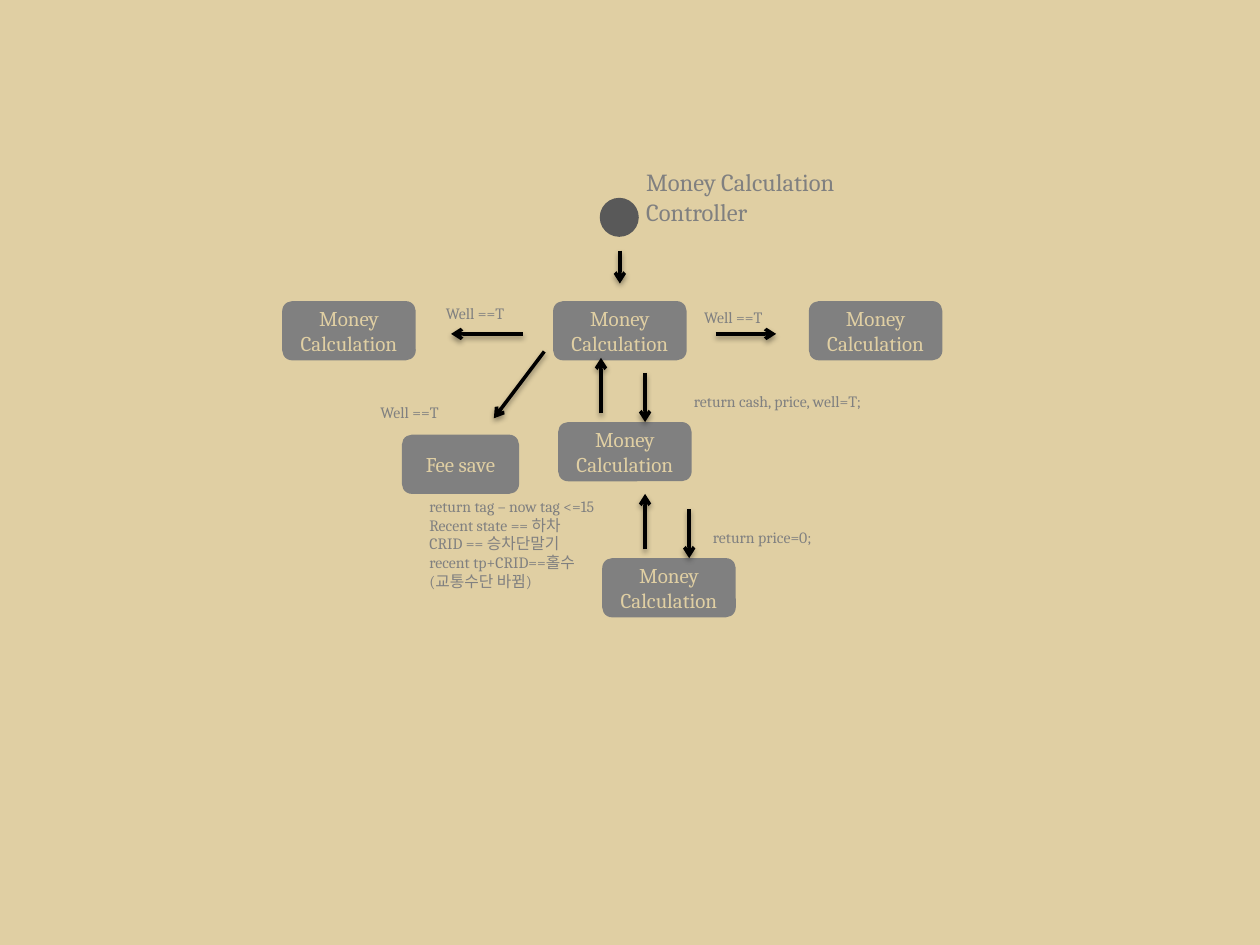
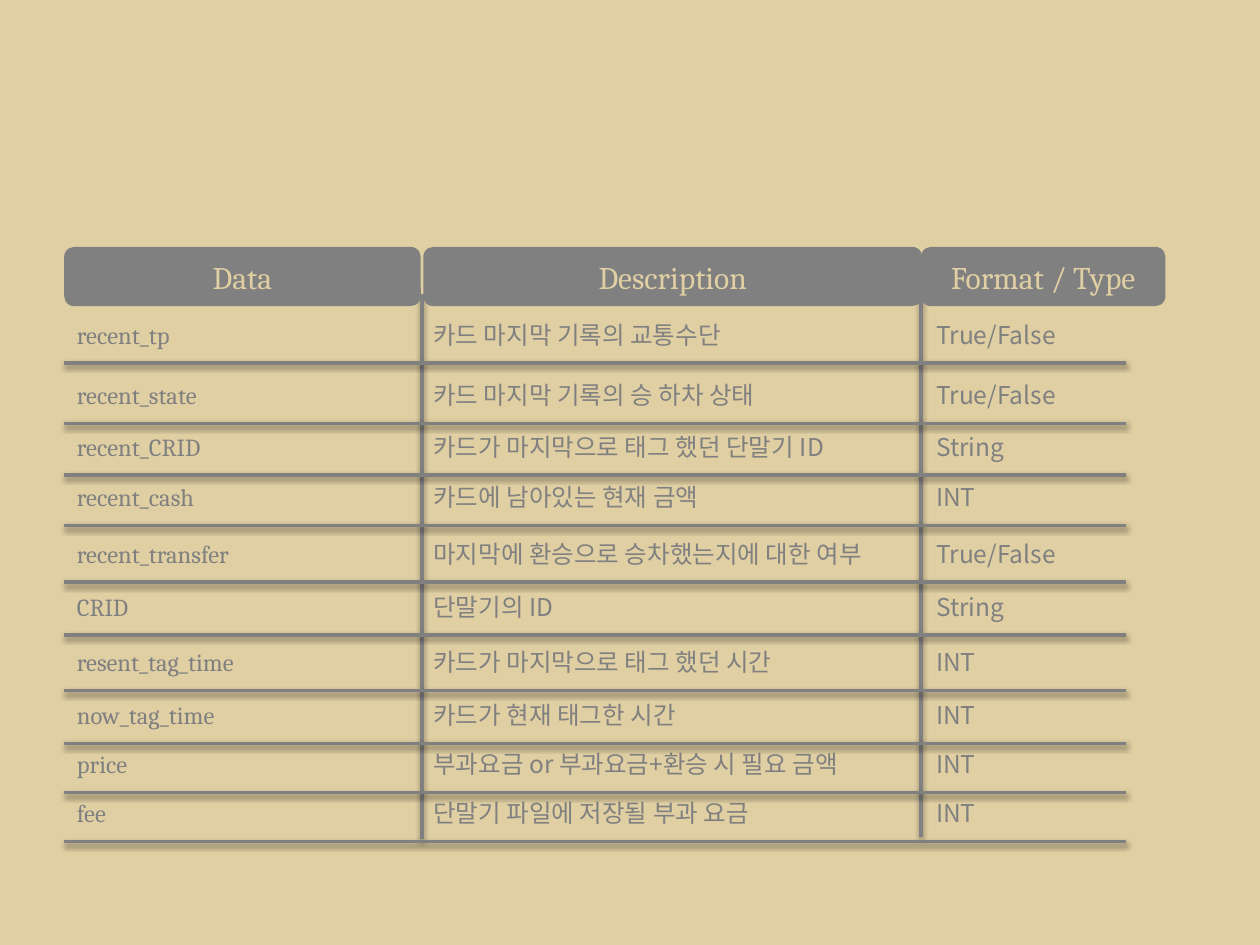
from dataclasses import dataclass
from itertools import pairwise

from lxml.etree import SubElement
from pptx import Presentation
from pptx.dml.color import RGBColor
from pptx.enum.shapes import MSO_CONNECTOR as Connector, MSO_SHAPE as Shape
from pptx.enum.text import MSO_ANCHOR as Anchor, MSO_AUTO_SIZE as AutoSize, PP_ALIGN as Align
from pptx.oxml.ns import qn
from pptx.util import Inches, Pt


@dataclass(frozen=True)
class Theme:
    sand: str = "E0CFA3"
    gray: str = "808080"
    dark: str = "595959"
    black: str = "000000"
    serif: str = "Cambria"
    korean: str = "Noto Sans CJK KR"
    note_size: int = 9
    box_size: int = 12
    text_size: int = 14
    header_size: int = 18
    line_width: int = 2


THEME = Theme()

# Controller diagram
START = (4.76, 1.57, 0.31)
TITLE = ("Money Calculation Controller", 5.03, 1.28, 2.02, 0.57)
STEP = "Money Calculation"
STEP_WIDTH, BOX_HEIGHT = 1.06, 0.47
STEP_PLACES = [(2.24, 2.39), (4.39, 2.39), (6.42, 2.39), (4.43, 3.35), (4.78, 4.43)]
FEE_BOX = ("Fee save", 3.19, 3.45, 0.93, BOX_HEIGHT)
ARROWS = [
    (4.92, 1.99, 4.92, 2.25),
    (5.68, 2.65, 6.16, 2.65),
    (4.15, 2.65, 3.58, 2.65),
    (4.32, 2.79, 3.92, 3.32),
    (5.12, 2.96, 5.12, 3.35),
    (4.77, 3.28, 4.77, 2.84),
    (5.47, 4.04, 5.47, 4.43),
    (5.12, 4.36, 5.12, 3.92),
]
CONDITION = "Well ==T"
NOTES = [
    (CONDITION, 3.44, 2.36, 0.95, 0.25),
    (CONDITION, 5.49, 2.39, 0.95, 0.25),
    (CONDITION, 2.92, 3.15, 0.95, 0.25),
    ("return cash, price, well=T;", 5.41, 3.06, 2.07, 0.25),
    ("return price=0;", 5.56, 4.14, 1.25, 0.25),
    ("return tag – now tag <=15\nRecent state == 하차\nCRID == 승차단말기\n"
     "recent tp+CRID==홀수\n(교통수단 바뀜)", 3.31, 3.89, 1.66, 0.86),
]

# Data dictionary
HEADER_TOP = 1.96
HEADERS = [("Data", 0.51, 2.83), ("Description", 3.36, 3.96), ("Format / Type", 7.31, 1.94)]
COLUMN_EDGES = [0.51, 3.35, 7.31, 8.94]
ROW_EDGES = [2.43, 2.88, 3.36, 3.77, 4.17, 4.62, 5.04, 5.48, 5.9, 6.29, 6.68]
COLUMN_RULES = [(3.35, 2.33, 3.35, 6.66), (7.31, 2.31, 7.31, 6.64)]
COLUMN_TEXT = [  # face, left margin, bottom margin
    (THEME.serif, 0.1, 0.1),
    (THEME.korean, 0.09, 0.09),
    (THEME.korean, 0.12, 0.09),
]
FIELDS = [
    ("recent_tp", "카드 마지막 기록의 교통수단", "True/False"),
    ("recent_state", "카드 마지막 기록의 승 하차 상태", "True/False"),
    ("recent_CRID", "카드가 마지막으로 태그 했던 단말기 ID", "String"),
    ("recent_cash", "카드에 남아있는 현재 금액", "INT"),
    ("recent_transfer", "마지막에 환승으로 승차했는지에 대한 여부", "True/False"),
    ("CRID", "단말기의 ID", "String"),
    ("resent_tag_time", "카드가 마지막으로 태그 했던 시간", "INT"),
    ("now_tag_time", "카드가 현재 태그한 시간", "INT"),
    ("price", "부과요금 or 부과요금+환승 시 필요 금액", "INT"),
    ("fee", "단말기 파일에 저장될 부과 요금", "INT"),
]
NO_STYLE = "{2D5ABB26-0587-4C30-8999-92F81FD0307C}"


def rgb(color):
    return RGBColor.from_string(color)


def inches(*lengths):
    return [Inches(length) for length in lengths]


def write(frame, text, size, color, face=THEME.serif, align=Align.LEFT):
    frame.text = text
    for paragraph in frame.paragraphs:
        paragraph.alignment = align
        for run in paragraph.runs:
            for name, value in {"size": Pt(size), "name": face}.items():
                setattr(run.font, name, value)
            run.font.color.rgb = rgb(color)
            east_asian = SubElement(run.font._element, qn("a:ea"), typeface=THEME.korean)
            run.font._element.find(qn("a:latin")).addnext(east_asian)


def add_slide(deck):
    slide = deck.slides.add_slide(deck.slide_layouts[6])
    slide.background.fill.solid()
    slide.background.fill.fore_color.rgb = rgb(THEME.sand)
    return slide


def add_filled(slide, kind, color, *place):
    shape = slide.shapes.add_shape(kind, *inches(*place))
    shape.shadow.inherit = False
    shape.fill.solid()
    shape.fill.fore_color.rgb = rgb(color)
    shape.line.fill.background()
    return shape


def add_box(slide, text, *place, size=THEME.box_size):
    box = add_filled(slide, Shape.ROUNDED_RECTANGLE, THEME.gray, *place)
    box.text_frame.vertical_anchor = Anchor.MIDDLE
    write(box.text_frame, text, size, THEME.sand, align=Align.CENTER)


def add_note(slide, text, *place, size=THEME.note_size):
    frame = slide.shapes.add_textbox(*inches(*place)).text_frame
    frame.word_wrap = True
    frame.auto_size = AutoSize.SHAPE_TO_FIT_TEXT
    write(frame, text, size, THEME.gray)


def add_line(slide, color, *ends, arrow=False):
    """Draw a straight line with a soft shadow below it."""
    line = slide.shapes.add_connector(Connector.STRAIGHT, *inches(*ends))
    line.line.color.rgb = rgb(color)
    line.line.width = Pt(THEME.line_width)
    if arrow:
        SubElement(line.line._get_or_add_ln(), qn("a:tailEnd"), type="arrow")
    effects = SubElement(line._element.spPr, qn("a:effectLst"))
    shadow = SubElement(effects, qn("a:outerShdw"), blurRad=str(Pt(3.1)),
                        dist=str(Pt(1.6)), dir="5400000", rotWithShape="0")
    tint = SubElement(shadow, qn("a:srgbClr"), val=THEME.black)
    SubElement(tint, qn("a:alpha"), val="38000")


def build_diagram(slide):
    left, top, diameter = START
    add_filled(slide, Shape.OVAL, THEME.dark, left, top, diameter, diameter)
    add_note(slide, *TITLE, size=THEME.text_size)
    for place in STEP_PLACES:
        add_box(slide, STEP, *place, STEP_WIDTH, BOX_HEIGHT)
    add_box(slide, *FEE_BOX)
    for ends in ARROWS:
        add_line(slide, THEME.black, *ends, arrow=True)
    for note in NOTES:
        add_note(slide, *note)


def add_fields(slide):
    left, top = COLUMN_EDGES[0], ROW_EDGES[0]
    table = slide.shapes.add_table(
        len(FIELDS), len(HEADERS),
        *inches(left, top, COLUMN_EDGES[-1] - left, ROW_EDGES[-1] - top)).table
    table.first_row = table.horz_banding = False
    table._tbl.tblPr.find(qn("a:tableStyleId")).text = NO_STYLE
    for column, (start, end) in zip(table.columns, pairwise(COLUMN_EDGES)):
        column.width = Inches(end - start)
    for row, (start, end) in zip(table.rows, pairwise(ROW_EDGES)):
        row.height = Inches(end - start)

    for row, field in zip(table.rows, FIELDS):
        for cell, text, (face, indent, gap) in zip(row.cells, field, COLUMN_TEXT):
            layout = {"margin_left": Inches(indent), "margin_right": 0, "margin_top": 0,
                      "margin_bottom": Inches(gap), "vertical_anchor": Anchor.BOTTOM}
            for name, value in layout.items():
                setattr(cell, name, value)
            cell.fill.background()
            write(cell.text_frame, text, THEME.text_size, THEME.gray, face)


def build_dictionary(slide):
    add_fields(slide)
    row_rules = [(COLUMN_EDGES[0], y, COLUMN_EDGES[-1], y) for y in ROW_EDGES[1:]]
    for ends in COLUMN_RULES + row_rules:
        add_line(slide, THEME.gray, *ends)
    for label, left, width in HEADERS:
        add_box(slide, label, left, HEADER_TOP, width, BOX_HEIGHT, size=THEME.header_size)


def main():
    deck = Presentation()
    deck.slide_width, deck.slide_height = inches(10, 7.5)
    for build in (build_diagram, build_dictionary):
        build(add_slide(deck))
    deck.save("out.pptx")


if __name__ == "__main__":
    main()
